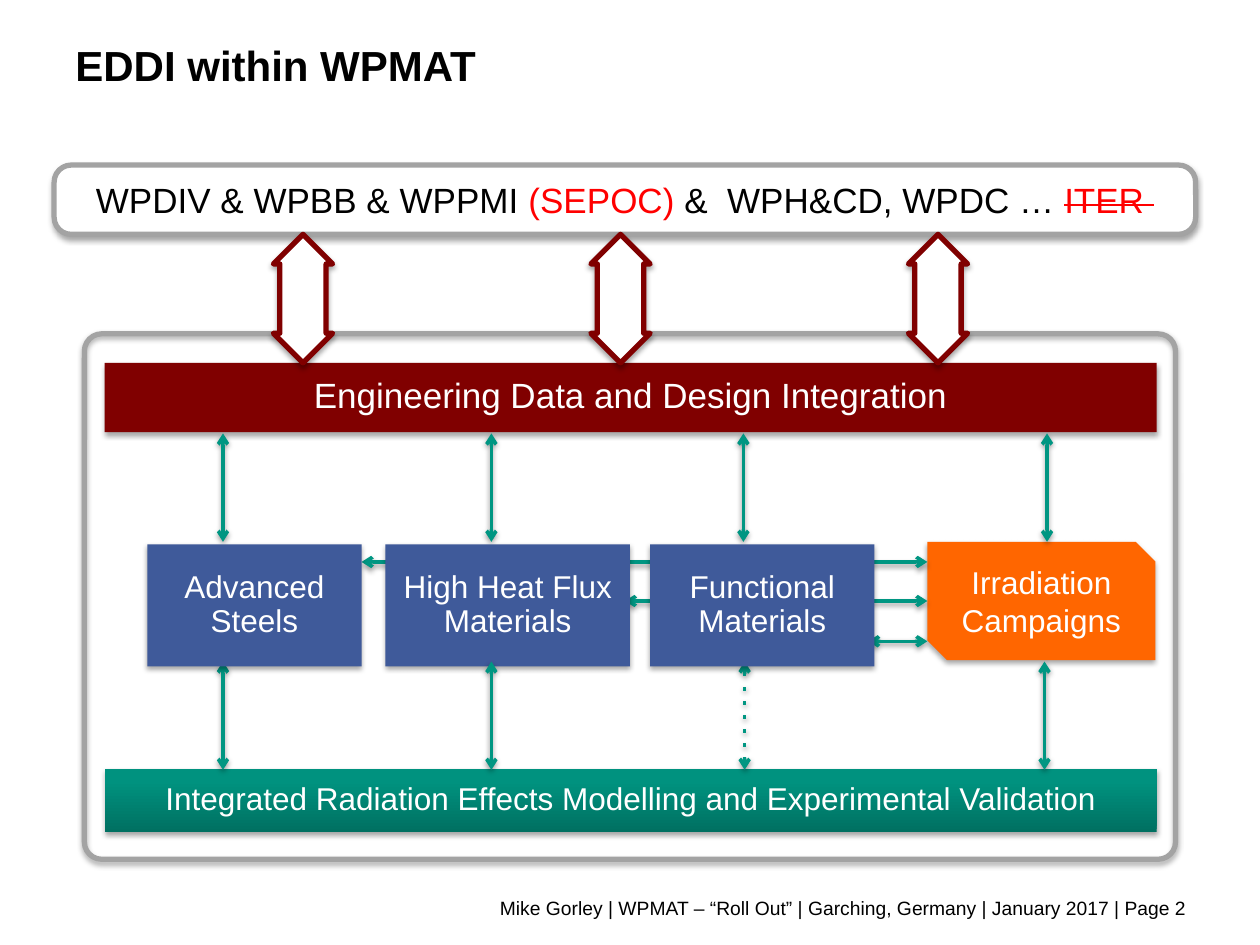
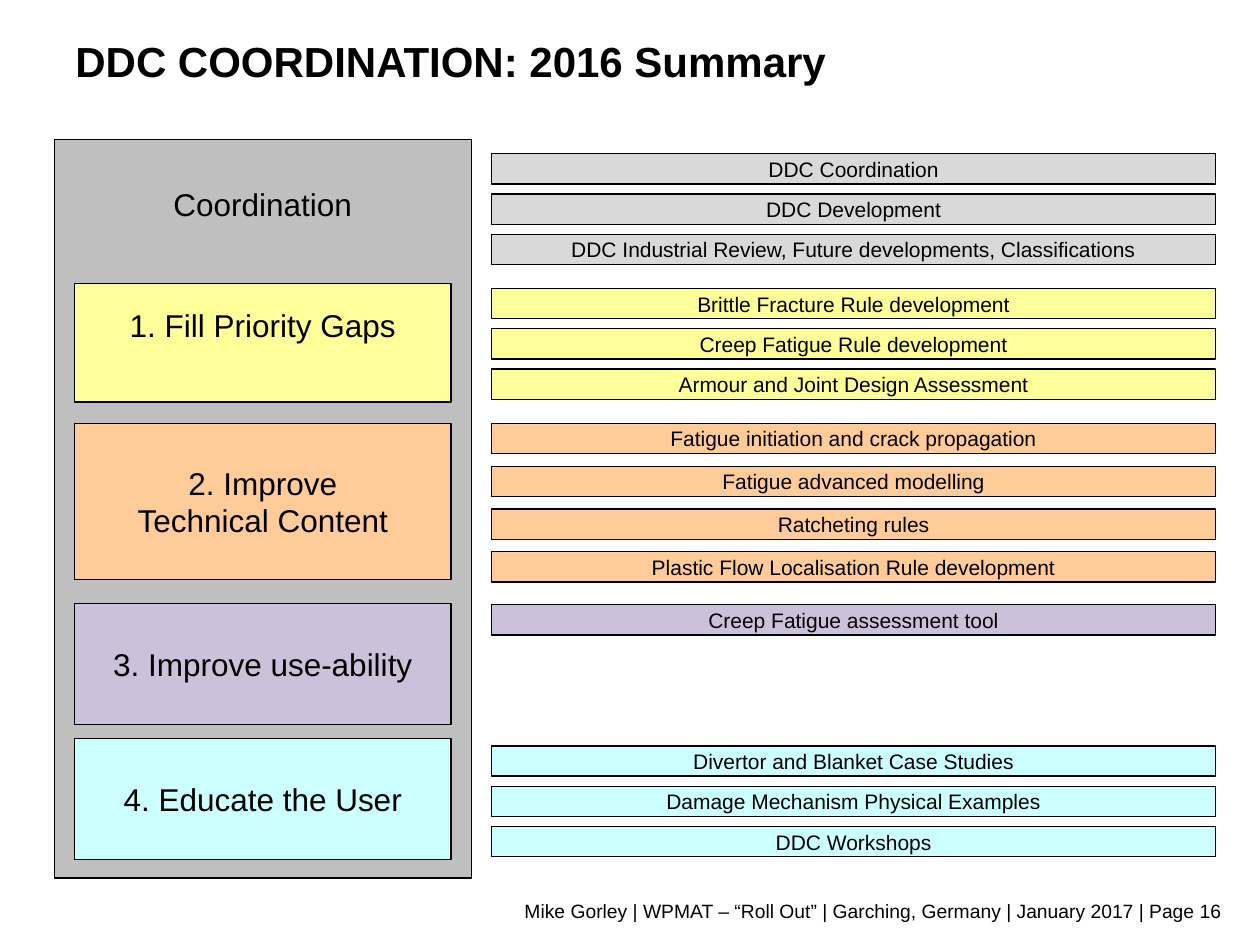
from dataclasses import dataclass
from typing import Optional

from lxml.etree import SubElement
from pptx import Presentation
from pptx.dml.color import RGBColor
from pptx.enum.shapes import MSO_CONNECTOR, MSO_SHAPE
from pptx.enum.text import MSO_ANCHOR, PP_ALIGN
from pptx.oxml.ns import qn
from pptx.presentation import Presentation as PresentationType
from pptx.shapes.autoshape import Shape
from pptx.slide import Slide
from pptx.util import Inches, Pt

FONT = "Arial"
BLACK, WHITE, RED = "000000", "FFFFFF", "FF0000"
MAROON, TEAL, BLUE, ORANGE, FRAME_GREY = "800000", "009682", "3F5A9A", "FF6600", "A3A3A3"
PANEL_GREY, LIGHT_GREY = "BFBFBF", "D9D9D9"
YELLOW, PEACH, LILAC, AQUA = "FFFF99", "FFCC99", "CCC1DA", "CCFFFF"
FOOTER = "Mike Gorley | WPMAT – “Roll Out” | Garching, Germany | January 2017 | Page "


@dataclass(frozen=True)
class Area:
    """Place and size in inches."""
    left: float
    top: float
    width: float
    height: float


@dataclass(frozen=True)
class Box:
    """Filled preset shape with an optional outline and shadow."""
    area: Area
    fill: Optional[str]
    kind: MSO_SHAPE = MSO_SHAPE.RECTANGLE
    line: Optional[str] = None
    line_width: float = 0.75
    adjustments: tuple[float, ...] = ()
    shadow: bool = False


@dataclass(frozen=True)
class Label:
    """Text with its formatting; margin sets all four insets."""
    text: str
    size: float
    color: str = BLACK
    bold: bool = False
    align: PP_ALIGN = PP_ALIGN.CENTER
    wrap: bool = True
    line_spacing: Optional[float] = None
    margin: Optional[float] = None


@dataclass(frozen=True)
class Arrow:
    """Double-headed line between two points."""
    start: tuple[float, float]
    end: tuple[float, float]
    dotted: bool = False


@dataclass(frozen=True)
class Theme:
    """One work theme and the tasks listed beside it."""
    color: str
    tasks_top: float
    step: float
    tasks: tuple[str, ...]
    title: str = ""
    top: float = 0
    height: float = 0
    bottom_margin: float = 0.05


def rgb(color: str) -> RGBColor:
    """Turn a hex string into a colour."""
    return RGBColor.from_string(color)


def add_shadow(shape, opacity: int = 35, distance: float = 1.8) -> None:
    """Give a shape or connector a soft shadow below it."""
    properties = shape._element.spPr
    effects = properties.find(qn("a:effectLst"))
    if effects is None:
        effects = SubElement(properties, qn("a:effectLst"))
    outer = SubElement(effects, qn("a:outerShdw"), blurRad=str(Pt(3.1)),
                       dist=str(Pt(distance)), dir="5400000", rotWithShape="0")
    color = SubElement(outer, qn("a:srgbClr"), val=BLACK)
    SubElement(color, qn("a:alpha"), val=str(opacity * 1000))


def write(shape: Shape, label: Label) -> None:
    """Put formatted text into a shape."""
    frame = shape.text_frame
    frame.text = label.text
    frame.word_wrap = label.wrap
    frame.vertical_anchor = MSO_ANCHOR.MIDDLE
    if label.margin is not None:
        frame.margin_left = frame.margin_right = Inches(label.margin)
        frame.margin_top = frame.margin_bottom = Inches(label.margin)
    for paragraph in frame.paragraphs:
        paragraph.alignment = label.align
        if label.line_spacing:
            paragraph.line_spacing = label.line_spacing
        for run in paragraph.runs:
            run.font.name = FONT
            run.font.size = Pt(label.size)
            run.font.bold = label.bold
            run.font.color.rgb = rgb(label.color)


def add_box(slide: Slide, box: Box, label: Optional[Label] = None) -> Shape:
    """Draw a box with its text."""
    area = box.area
    shape = slide.shapes.add_shape(box.kind, Inches(area.left), Inches(area.top),
                                   Inches(area.width), Inches(area.height))
    for index, value in enumerate(box.adjustments):
        shape.adjustments[index] = value
    if box.fill:
        shape.fill.solid()
        shape.fill.fore_color.rgb = rgb(box.fill)
    else:
        shape.fill.background()
    if box.line:
        shape.line.color.rgb = rgb(box.line)
        shape.line.width = Pt(box.line_width)
    else:
        shape.line.fill.background()
    shape.shadow.inherit = False
    if box.shadow:
        add_shadow(shape)
    if label:
        write(shape, label)
    return shape


def add_text(slide: Slide, area: Area, label: Label) -> None:
    """Add a text box."""
    shape = slide.shapes.add_textbox(Inches(area.left), Inches(area.top),
                                     Inches(area.width), Inches(area.height))
    write(shape, label)


def add_arrow(slide: Slide, arrow: Arrow) -> None:
    """Draw a teal arrow with a head at each end."""
    connector = slide.shapes.add_connector(
        MSO_CONNECTOR.STRAIGHT, *(Inches(value) for value in arrow.start + arrow.end))
    connector.line.color.rgb = rgb(TEAL)
    connector.line.width = Pt(2)
    outline = connector._element.spPr.find(qn("a:ln"))
    if arrow.dotted:
        SubElement(outline, qn("a:prstDash"), val="dot")
    for tag in ("a:headEnd", "a:tailEnd"):
        SubElement(outline, qn(tag), type="arrow")
    add_shadow(connector, 38, 1.6)


def add_slide(presentation: PresentationType, title: str, title_area: Area,
              page: int, footer_area: Area) -> Slide:
    """Add a blank slide with its title and footer."""
    slide = presentation.slides.add_slide(presentation.slide_layouts[6])
    add_text(slide, title_area, Label(title, 24, bold=True, align=PP_ALIGN.LEFT))
    add_text(slide, footer_area, Label(f"{FOOTER}{page}", 11, align=PP_ALIGN.RIGHT))
    return slide


def add_partners(slide: Slide) -> None:
    """Draw the bar of partner work packages."""
    bar = add_box(slide, Box(Area(0.43, 1.31, 9.06, 0.55), WHITE, MSO_SHAPE.ROUNDED_RECTANGLE,
                             FRAME_GREY, 3, (0.247,), True),
                  Label("WPDIV & WPBB & WPPMI ", 20))
    paragraph = bar.text_frame.paragraphs[0]
    for text, color in (("(SEPOC) ", RED), ("&  WPH&CD, WPDC … ", BLACK), ("ITER ", RED)):
        run = paragraph.add_run()
        run.text = text
        run.font.name = FONT
        run.font.size = Pt(20)
        run.font.color.rgb = rgb(color)
    run._r.get_or_add_rPr().set("strike", "sngStrike")


def add_band(slide: Slide, area: Area, color: str, text: str, size: float) -> Shape:
    """Draw a shadowed block with tight white text."""
    return add_box(slide, Box(area, color, shadow=True),
                   Label(text, size, WHITE, line_spacing=0.9, margin=0.02))


def build_structure(presentation: PresentationType) -> None:
    """Build the slide on how the projects connect."""
    slide = add_slide(presentation, "EDDI within WPMAT", Area(0.5, 0.03, 8.12, 0.97),
                      2, Area(0.51, 7.06, 9.01, 0.29))
    add_box(slide, Box(Area(7.36, 4.3, 1.81, 0.94), ORANGE,
                       MSO_SHAPE.SNIP_2_DIAG_RECTANGLE, shadow=True),
            Label("Irradiation Campaigns", 18, WHITE))
    add_band(slide, Area(0.83, 2.88, 8.35, 0.55), MAROON,
             "Engineering Data and Design Integration", 20)
    modelling = add_band(slide, Area(0.83, 6.1, 8.35, 0.5), TEAL,
                         "Integrated Radiation Effects Modelling and Experimental Validation", 18)
    modelling.fill.gradient()
    modelling.fill.gradient_angle = 90
    for stop, color, position in zip(modelling.fill.gradient_stops,
                                     ("007061", "00927F"), (0, 0.8)):
        stop.color.rgb = rgb(color)
        stop.position = position

    add_partners(slide)
    add_box(slide, Box(Area(0.67, 2.65, 8.66, 4.17), None, MSO_SHAPE.ROUNDED_RECTANGLE,
                       FRAME_GREY, 3, (0.033,), True))
    for x in (1.77, 3.9, 5.9, 8.31):
        add_arrow(slide, Arrow((x, 3.44), (x, 4.3)))
    for x in (1.77, 5.91, 8.29):
        add_arrow(slide, Arrow((x, 5.25), (x, 6.11), dotted=x == 5.91))
    for y, end in ((4.46, 2.87), (4.77, 4.96), (5.09, 6.89)):
        add_arrow(slide, Arrow((7.36, y), (end, y)))
    for index in range(3):
        add_box(slide, Box(Area(2.17 + 2.52 * index, 1.86, 0.47, 1.02), WHITE,
                           MSO_SHAPE.UP_DOWN_ARROW, MAROON, 3, (0.375, 0.781), True))
    for left, width, text in ((1.17, 1.7, "Advanced Steels"),
                              (3.06, 1.94, "High Heat Flux Materials"),
                              (5.16, 1.78, "Functional Materials")):
        add_band(slide, Area(left, 4.32, width, 0.97), BLUE, text, 18)
    add_arrow(slide, Arrow((3.9, 5.25), (3.9, 6.11)))


THEMES = (
    Theme(LIGHT_GREY, 1.22, 0.32,
          ("DDC Coordination", "DDC Development",
           "DDC Industrial Review, Future developments, Classifications")),
    Theme(YELLOW, 2.29, 0.32,
          ("Brittle Fracture Rule development", "Creep Fatigue Rule development",
           "Armour and Joint Design Assessment"),
          "1. Fill Priority Gaps", 2.25, 0.94, 0.33),
    Theme(PEACH, 3.36, 0.34,
          ("Fatigue initiation and crack propagation", "Fatigue advanced modelling",
           "Ratcheting rules", "Plastic Flow Localisation Rule development"),
          "2. Improve\nTechnical Content", 3.36, 1.24),
    Theme(LILAC, 4.8, 0.32, ("Creep Fatigue assessment tool",),
          "3. Improve use-ability", 4.79, 0.96),
    Theme(AQUA, 5.92, 0.32,
          ("Divertor and Blanket Case Studies", "Damage Mechanism Physical Examples",
           "DDC Workshops"),
          "4. Educate the User", 5.86, 0.96),
)


def build_summary(presentation: PresentationType) -> None:
    """Build the slide that lists the tasks of each theme."""
    slide = add_slide(presentation, "DDC COORDINATION: 2016 Summary",
                      Area(0.5, 0.23, 6.23, 0.5), 16, Area(0.79, 7.08, 9.01, 0.29))
    panel = add_box(slide, Box(Area(0.43, 1.11, 3.31, 5.86), PANEL_GREY, line=BLACK),
                    Label("Coordination", 18))
    panel.text_frame.vertical_anchor = MSO_ANCHOR.TOP
    panel.text_frame.margin_top = Inches(0.36)
    for theme in THEMES:
        if theme.title:
            block = add_box(slide, Box(Area(0.59, theme.top, 2.99, theme.height),
                                       theme.color, line=BLACK),
                            Label(theme.title, 18, wrap=False))
            block.text_frame.margin_bottom = Inches(theme.bottom_margin)
        for index, task in enumerate(theme.tasks):
            add_box(slide, Box(Area(3.9, theme.tasks_top + index * theme.step, 5.75, 0.24),
                               theme.color, line=BLACK),
                    Label(task, 12, wrap=False))


def main() -> None:
    """Build and save the presentation."""
    presentation = Presentation()
    presentation.slide_width = Inches(10)
    presentation.slide_height = Inches(7.5)
    build_structure(presentation)
    build_summary(presentation)
    presentation.save("out.pptx")


if __name__ == "__main__":
    main()
